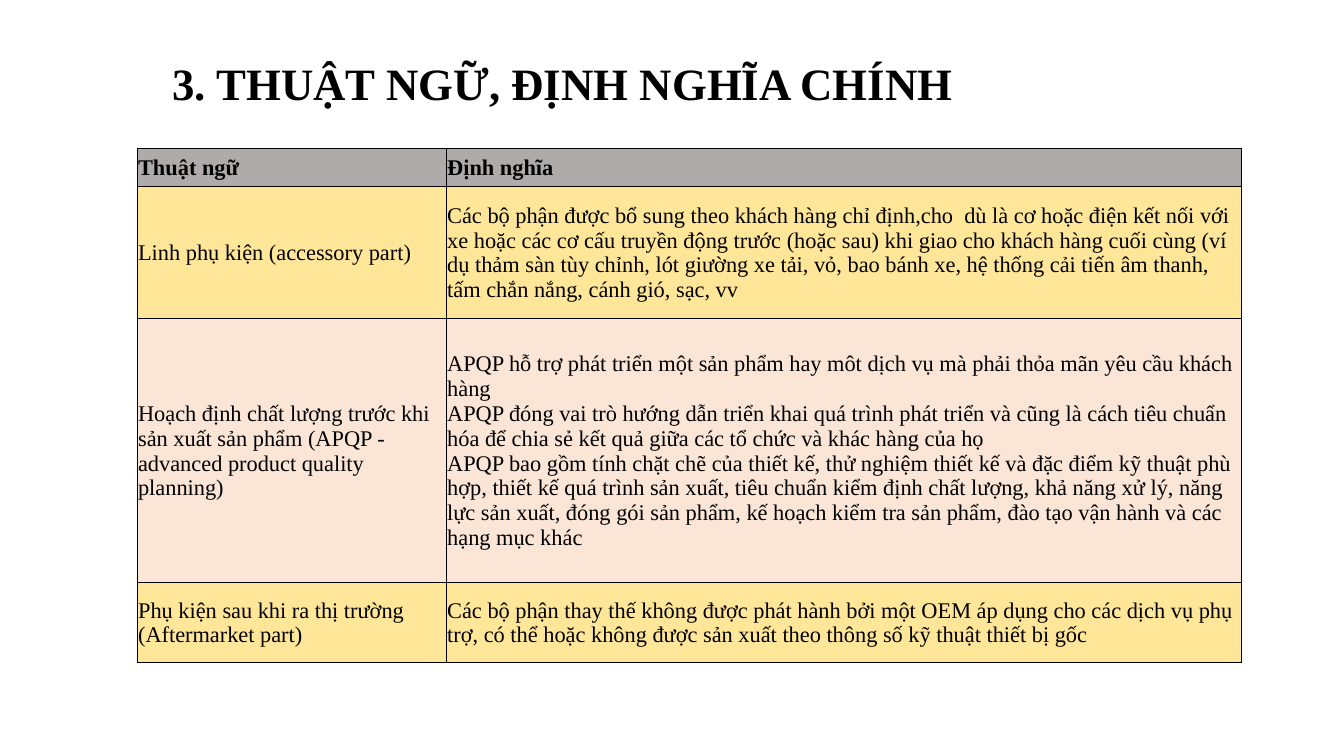
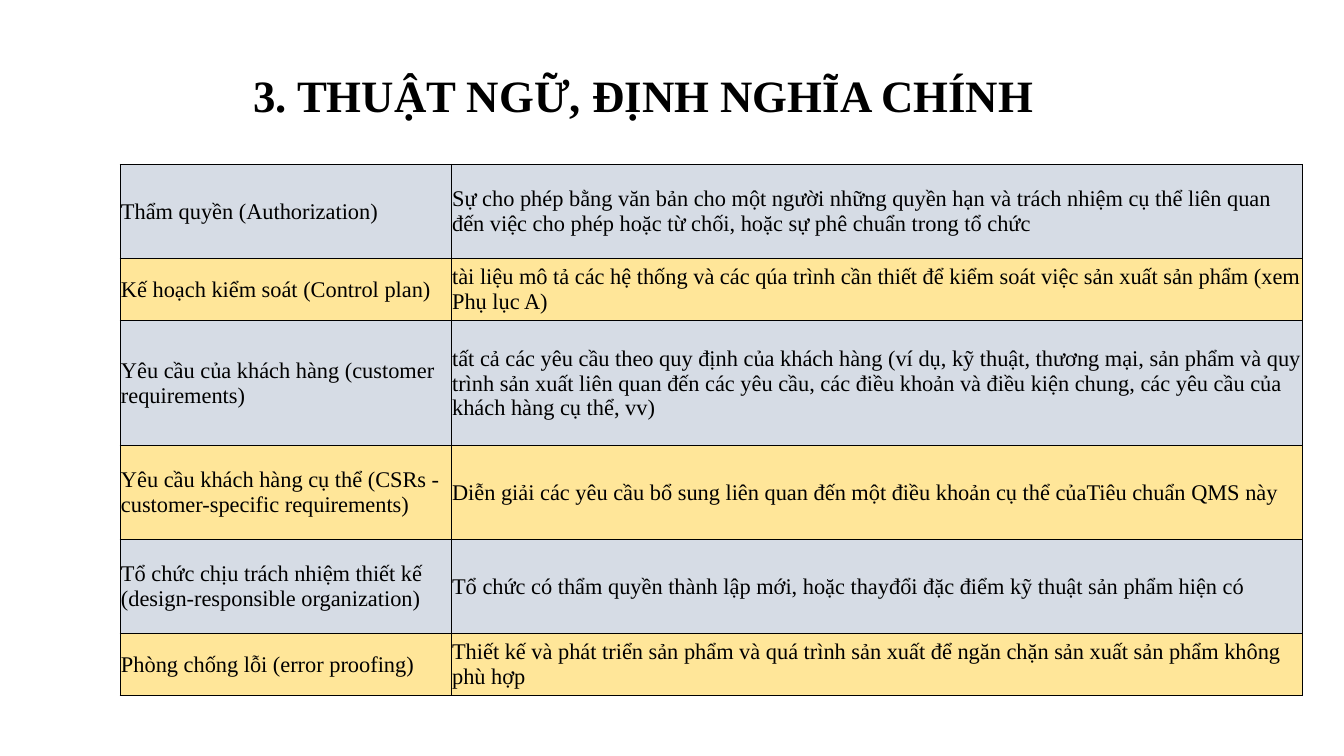
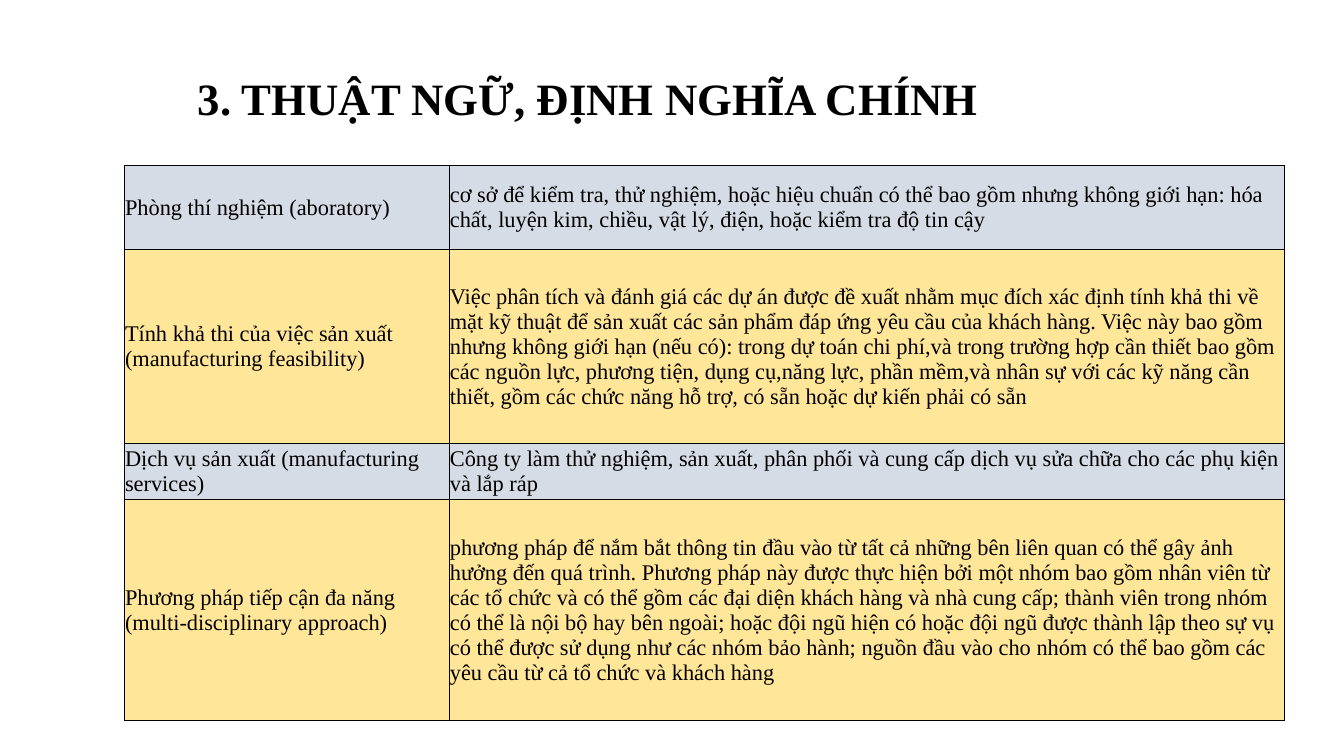
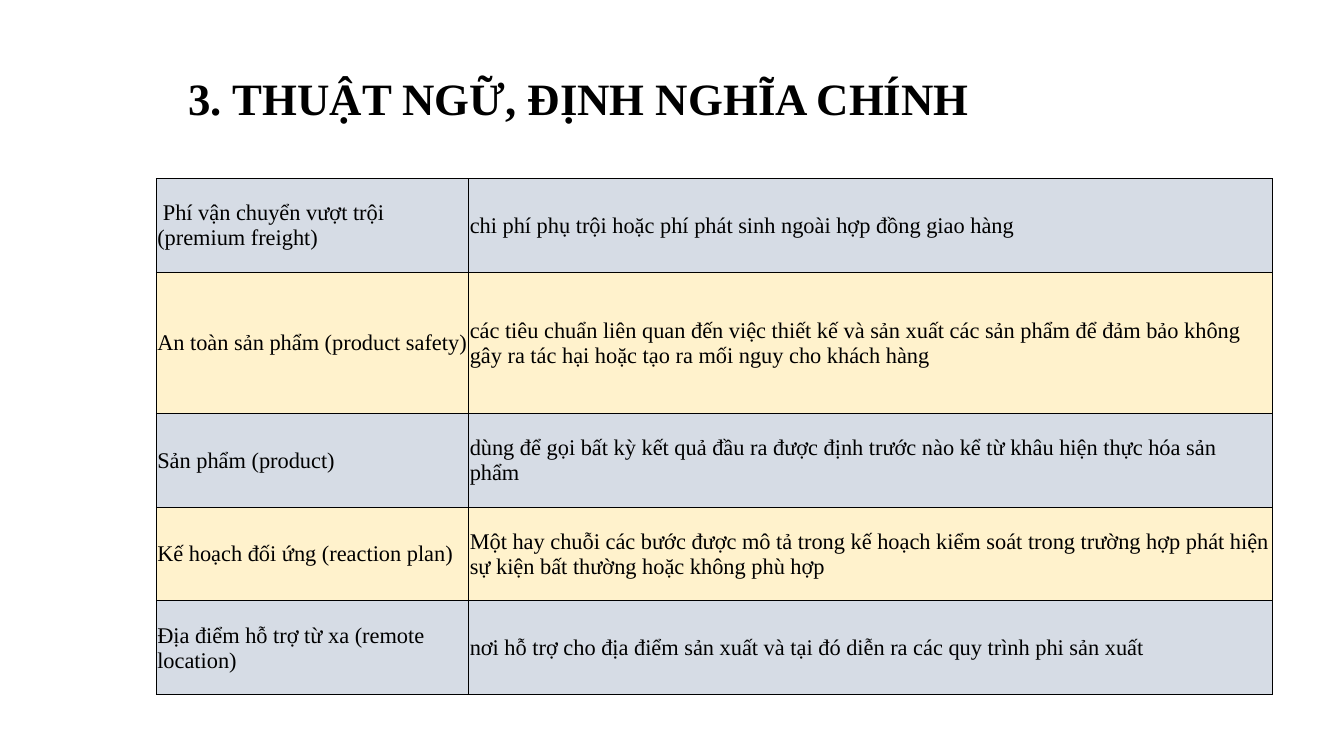
from itertools import cycle

from lxml.etree import SubElement
from pptx import Presentation
from pptx.dml.color import RGBColor
from pptx.enum.text import MSO_ANCHOR, MSO_AUTO_SIZE, PP_ALIGN
from pptx.oxml.ns import qn
from pptx.util import Inches, Pt

# Shared look
WIDTH, HEIGHT = 13.33, 7.5
COLORS = {"ink": "000000", "head": "AFABAB", "gold": "FFE699",
          "peach": "FBE5D6", "blue": "D6DCE5", "cream": "FFF2CC"}
FACE = "Times New Roman"
TITLE = "3. THUẬT NGỮ, ĐỊNH NGHĨA CHÍNH"
TITLE_FONT = {"name": FACE, "size": Pt(32), "bold": True}
HEAD_FONT = {"name": FACE, "size": Pt(16), "bold": True}
BODY_FONT = {"name": FACE, "size": Pt(16), "bold": False}
FRAME = {"word_wrap": True, "auto_size": MSO_AUTO_SIZE.NONE,
         "vertical_anchor": MSO_ANCHOR.TOP}
CELL = {"vertical_anchor": MSO_ANCHOR.MIDDLE, "margin_left": Inches(0.01),
        "margin_right": Inches(0.01), "margin_top": Inches(0.01),
        "margin_bottom": 0}
TERM_PART = 0.28  # share of the table width taken by the terms

# Each row: height, term, definition
SLIDES = [
    {"title": (1.61, 0.5), "table": (1.36, 1.47, 10.95),
     "bands": ("gold", "peach"),
     "head": (0.38, "Thuật ngữ", "Định nghĩa"),
     "rows": [
         (1.31, "Linh phụ kiện (accessory part)",
          "Các bộ phận được bổ sung theo khách hàng chỉ định,cho  dù là cơ hoặc "
          "điện kết nối với xe hoặc các cơ cấu truyền động trước (hoặc sau) khi "
          "giao cho khách hàng cuối cùng (ví dụ thảm sàn tùy chỉnh, lót giường xe "
          "tải, vỏ, bao bánh xe, hệ thống cải tiến âm thanh, tấm chắn nắng, cánh "
          "gió, sạc, vv"),
         (2.62, "Hoạch định chất lượng trước khi sản xuất sản phẩm (APQP - "
          "advanced product quality planning)",
          "APQP hỗ trợ phát triển một sản phẩm hay môt dịch vụ mà phải thỏa mãn "
          "yêu cầu khách hàng\n"
          "APQP đóng vai trò hướng dẫn triển khai quá trình phát triển và cũng là "
          "cách tiêu chuẩn hóa để chia sẻ kết quả giữa các tổ chức và khác hàng "
          "của họ\n"
          "APQP bao gồm tính chặt chẽ của thiết kế, thử nghiệm thiết kế và đặc "
          "điểm kỹ thuật phù hợp, thiết kế quá trình sản xuất, tiêu chuẩn kiểm "
          "định chất lượng, khả năng xử lý, năng lực sản xuất, đóng gói sản phẩm, "
          "kế hoạch kiểm tra sản phẩm, đào tạo vận hành và các hạng mục khác"),
         (0.79, "Phụ kiện sau khi ra thị trường (Aftermarket part)",
          "Các bộ phận thay thế không được phát hành bởi một OEM áp dụng cho các "
          "dịch vụ phụ trợ, có thể hoặc không được sản xuất theo thông số kỹ "
          "thuật thiết bị gốc"),
     ]},
    {"title": (2.41, 0.62), "table": (1.19, 1.63, 11.73),
     "bands": ("blue", "gold"),
     "rows": [
         (0.93, "Thẩm quyền (Authorization)",
          "Sự cho phép bằng văn bản cho một người những quyền hạn và trách nhiệm "
          "cụ thể liên quan đến việc cho phép hoặc từ chối, hoặc sự phê chuẩn "
          "trong tổ chức"),
         (0.62, "Kế hoạch kiểm soát (Control plan)",
          "tài liệu mô tả các hệ thống và các qúa trình cần thiết để kiểm soát "
          "việc sản xuất sản phẩm (xem Phụ lục A)"),
         (1.24, "Yêu cầu của khách hàng (customer requirements)",
          "tất cả các yêu cầu theo quy định của khách hàng (ví dụ, kỹ thuật, "
          "thương mại, sản phẩm và quy trình sản xuất liên quan đến các yêu cầu, "
          "các điều khoản và điều kiện chung, các yêu cầu của khách hàng cụ thể, "
          "vv)"),
         (0.93, "Yêu cầu khách hàng cụ thể (CSRs - customer-specific "
          "requirements)",
          "Diễn giải các yêu cầu bổ sung liên quan đến một điều khoản cụ thể "
          "củaTiêu chuẩn QMS này"),
         (0.93, "Tổ chức chịu trách nhiệm thiết kế (design-responsible "
          "organization)",
          "Tổ chức có thẩm quyền thành lập mới, hoặc thayđổi đặc điểm kỹ thuật "
          "sản phẩm hiện có"),
         (0.62, "Phòng chống lỗi (error proofing)",
          "Thiết kế và phát triển sản phẩm và quá trình sản xuất để ngăn chặn sản "
          "xuất sản phẩm không phù hợp"),
     ]},
    {"title": (1.86, 0.65), "table": (1.23, 1.64, 11.51),
     "bands": ("blue", "gold"),
     "rows": [
         (0.83, "Phòng thí nghiệm (aboratory)",
          "cơ sở để kiểm tra, thử nghiệm, hoặc hiệu chuẩn có thể bao gồm nhưng "
          "không giới hạn: hóa chất, luyện kim, chiều, vật lý, điện, hoặc kiểm "
          "tra độ tin cậy"),
         (1.93, "Tính khả thi của việc sản xuất (manufacturing feasibility)",
          "Việc phân tích và đánh giá các dự án được đề xuất nhằm mục đích xác "
          "định tính khả thi về mặt kỹ thuật để sản xuất các sản phẩm đáp ứng yêu "
          "cầu của khách hàng. Việc này bao gồm nhưng không giới hạn (nếu có): "
          "trong dự toán chi phí,và trong trường hợp cần thiết bao gồm các nguồn "
          "lực, phương tiện, dụng cụ,năng lực, phần mềm,và nhân sự với các kỹ "
          "năng cần thiết, gồm các chức năng hỗ trợ, có sẵn hoặc dự kiến phải có "
          "sẵn"),
         (0.55, "Dịch vụ sản xuất (manufacturing services)",
          "Công ty làm thử nghiệm, sản xuất, phân phối và cung cấp dịch vụ sửa "
          "chữa cho các phụ kiện và lắp ráp"),
         (2.2, "Phương pháp tiếp cận đa năng (multi-disciplinary approach)",
          "phương pháp để nắm bắt thông tin đầu vào từ tất cả những bên liên quan "
          "có thể gây ảnh hưởng đến quá trình. Phương pháp này được thực hiện bởi "
          "một nhóm bao gồm nhân viên từ các tổ chức và có thể gồm các đại diện "
          "khách hàng và nhà cung cấp; thành viên trong nhóm có thể là nội bộ hay "
          "bên ngoài; hoặc đội ngũ hiện có hoặc đội ngũ được thành lập theo sự vụ "
          "có thể được sử dụng như các nhóm bảo hành; nguồn đầu vào cho nhóm có "
          "thể bao gồm các yêu cầu từ cả tổ chức và khách hàng"),
     ]},
    {"title": (1.77, 0.65), "table": (1.55, 1.77, 11.07),
     "bands": ("blue", "cream"),
     "rows": [
         (0.93, " Phí vận chuyển vượt trội (premium freight)",
          "chi phí phụ trội hoặc phí phát sinh ngoài hợp đồng giao hàng"),
         (1.4, "An toàn sản phẩm (product safety)",
          "các tiêu chuẩn liên quan đến việc thiết kế và sản xuất các sản phẩm để "
          "đảm bảo không gây ra tác hại hoặc tạo ra mối nguy cho khách hàng"),
         (0.93, "Sản phẩm (product)",
          "dùng để gọi bất kỳ kết quả đầu ra được định trước nào kể từ khâu hiện "
          "thực hóa sản phẩm"),
         (0.93, "Kế hoạch đối ứng (reaction plan)",
          "Một hay chuỗi các bước được mô tả trong kế hoạch kiểm soát trong "
          "trường hợp phát hiện sự kiện bất thường hoặc không phù hợp"),
         (0.93, "Địa điểm hỗ trợ từ xa (remote location)",
          "nơi hỗ trợ cho địa điểm sản xuất và tại đó diễn ra các quy trình phi "
          "sản xuất"),
     ]},
]


def color(name):
    return RGBColor.from_string(COLORS[name])


def apply(item, values):
    for key, value in values.items():
        setattr(item, key, value)


def write(frame, text, font):
    frame.text = text
    for para in frame.paragraphs:
        para.alignment = PP_ALIGN.LEFT
        for run in para.runs:
            apply(run.font, font)
            run.font.color.rgb = color("ink")


def add_title(slide, left, top):
    title = slide.shapes.title
    apply(title, {"left": Inches(left), "top": Inches(top),
                  "width": Inches(WIDTH - left), "height": Inches(0.64)})
    apply(title.text_frame, FRAME)
    write(title.text_frame, TITLE, TITLE_FONT)


def add_edges(cell):
    props = cell._tc.get_or_add_tcPr()
    for side in ("lnL", "lnR", "lnT", "lnB"):
        line = SubElement(props, qn(f"a:{side}"), w=str(Pt(0.5)))
        fill = SubElement(line, qn("a:solidFill"))
        SubElement(fill, qn("a:srgbClr"), val=COLORS["ink"])


def fill_cell(cell, text, band, font):
    apply(cell, CELL)
    write(cell.text_frame, text, font)
    add_edges(cell)  # borders must come before the fill
    cell.fill.solid()
    cell.fill.fore_color.rgb = color(band)


def add_terms(slide, box, rows, bands, head=None):
    left, top, width = box
    lines = [(row, band, BODY_FONT) for row, band in zip(rows, cycle(bands))]
    if head:
        lines.insert(0, (head, "head", HEAD_FONT))
    tall = sum(row[0] for row, _, _ in lines)
    table = slide.shapes.add_table(len(lines), 2, Inches(left), Inches(top),
                                   Inches(width), Inches(tall)).table
    apply(table, {"first_row": bool(head), "horz_banding": False})
    for col, part in zip(table.columns, (TERM_PART, 1 - TERM_PART)):
        col.width = Inches(width * part)
    for line, ((high, *texts), band, font) in zip(table.rows, lines):
        line.height = Inches(high)
        for cell, text in zip(line.cells, texts):
            fill_cell(cell, text, band, font)


def main():
    deck = Presentation()
    apply(deck, {"slide_width": Inches(WIDTH), "slide_height": Inches(HEIGHT)})
    for data in SLIDES:
        slide = deck.slides.add_slide(deck.slide_layouts[5])
        add_title(slide, *data["title"])
        add_terms(slide, data["table"], data["rows"], data["bands"],
                  data.get("head"))
    deck.save("out.pptx")


if __name__ == "__main__":
    main()
